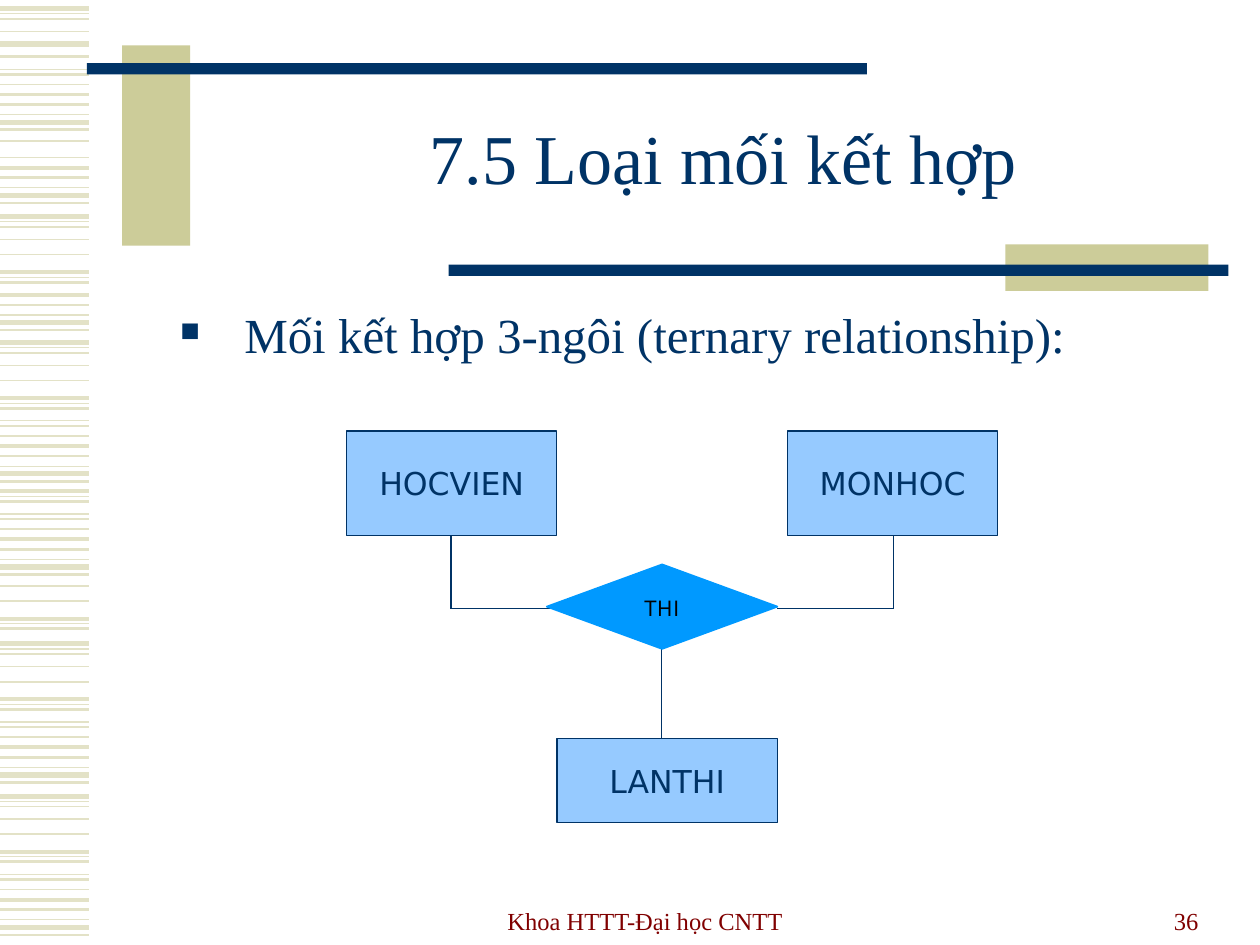
from typing import NamedTuple

from lxml import etree
from pptx import Presentation
from pptx.dml.color import RGBColor
from pptx.enum import shapes, text
from pptx.oxml import ns
from pptx.util import Inches, Pt

NAVY, KHAKI, STRIPE = "003366", "CCCC99", "E3E2C7"
PALE_BLUE, BLUE, MAROON, BLACK = "96CAFF", "0099FF", "800000", "000000"
SERIF, SANS = "Times New Roman", "DejaVu Sans"
CENTER, RIGHT, LEFT = text.PP_ALIGN.CENTER, text.PP_ALIGN.RIGHT, text.PP_ALIGN.LEFT
MIDDLE, BOTTOM, TOP = text.MSO_ANCHOR.MIDDLE, text.MSO_ANCHOR.BOTTOM, text.MSO_ANCHOR.TOP


class Box(NamedTuple):
    left: float
    top: float
    width: float
    height: float


class Style(NamedTuple):
    size: float
    color: str
    font: str = SERIF
    align: text.PP_ALIGN = CENTER
    anchor: text.MSO_ANCHOR = MIDDLE
    wrap: bool = True


class Line(NamedTuple):
    x1: float
    y1: float
    x2: float
    y2: float
    color: str = NAVY
    weight: float = 0.75


class Node(NamedTuple):
    label: str
    box: Box
    style: Style
    fill: str = PALE_BLUE
    line: str = NAVY
    weight: float = 0.75
    kind: shapes.MSO_SHAPE = shapes.MSO_SHAPE.RECTANGLE


class Band(NamedTuple):
    """A run of the stripe rhythm, from index first up to stop."""
    top: float
    first: int = 0
    stop: int = 16


# (offset from the band's top, line weight)
RHYTHM = [
    (0, 3), (0.04, 0.75), (0.08, 1), (0.18, 1), (0.3, 1), (0.44, 2.25),
    (0.48, 0.75), (0.52, 1.5), (0.62, 0.75), (0.66, 1.5), (0.74, 1),
    (0.82, 2.25), (0.9, 1.5), (0.98, 0.75), (1.04, 3), (1.1, 1.5),
]
BANDS = [
    Band(0.07, 0, 4), Band(-0.07, 7), Band(0.51, 10), Band(1.72, 0, 8),
    Band(1.52, 11), Band(2.72), Band(3.46, 5), Band(4.47, 3, 8),
    Band(5.11), Band(6.32),
]
EXTRA_STRIPES = [(0.35, 3), (1.12, 1)]

BARS = [
    (Box(0.97, 0.36, 0.54, 1.59), KHAKI),
    (Box(0.69, 0.5, 6.19, 0.09), NAVY),
    (Box(7.98, 1.94, 1.61, 0.37), KHAKI),
    (Box(3.56, 2.1, 6.19, 0.09), NAVY),
]

ENTITY = Style(18, NAVY, SANS, wrap=False)
ENTITIES = [
    Node("HOCVIEN", Box(2.75, 3.42, 1.67, 0.83), ENTITY),
    Node("MONHOC", Box(6.25, 3.42, 1.67, 0.83), ENTITY),
    Node("LANTHI", Box(4.42, 5.86, 1.75, 0.67), ENTITY),
]
RELATIONSHIP = Node("THI", Box(4.34, 4.48, 1.83, 0.67), Style(14, BLACK, "Karla"),
                    BLUE, BLUE, 1, shapes.MSO_SHAPE.FLOWCHART_DECISION)
LINKS = [
    Line(6.17, 4.83, 7.09, 4.83),
    Line(3.58, 4.83, 4.5, 4.83),
    Line(3.58, 4.25, 3.58, 4.83),
    Line(7.09, 4.25, 7.09, 4.83),
    Line(5.25, 5.15, 5.25, 5.86),
]


def rgb(value: str) -> RGBColor:
    return RGBColor.from_string(value)


def inches(values) -> list:
    return [Inches(v) for v in values]


def write(sp, content: str, style: Style):
    """Put one styled run in the shape and return its paragraph."""
    tf = sp.text_frame
    tf.word_wrap = style.wrap
    tf.auto_size = text.MSO_AUTO_SIZE.NONE
    tf.vertical_anchor = style.anchor
    p = tf.paragraphs[0]
    p.alignment = style.align
    r = p.add_run()
    r.text = content
    r.font.size = Pt(style.size)
    r.font.name = style.font
    r.font.color.rgb = rgb(style.color)
    return p


def add_text(s, content: str, box: Box, style: Style):
    return write(s.shapes.add_textbox(*inches(box)), content, style)


def add_filled(s, kind: shapes.MSO_SHAPE, box: Box, fill: str):
    sp = s.shapes.add_shape(kind, *inches(box))
    sp.shadow.inherit = False
    sp.fill.solid()
    sp.fill.fore_color.rgb = rgb(fill)
    sp.line.fill.background()
    return sp


def add_node(s, node: Node) -> None:
    sp = add_filled(s, node.kind, node.box, node.fill)
    sp.line.color.rgb = rgb(node.line)
    sp.line.width = Pt(node.weight)
    write(sp, node.label, node.style)


def add_line(s, line: Line) -> None:
    ln = s.shapes.add_connector(shapes.MSO_CONNECTOR.STRAIGHT, *inches(line[:4]))
    ln.line.color.rgb = rgb(line.color)
    ln.line.width = Pt(line.weight)
    etree.SubElement(ln._element.spPr, ns.qn("a:effectLst"))


def add_bullet(p, char: str, color: str, percent: int, left: float, hanging: float) -> None:
    pPr = p._p.get_or_add_pPr()
    pPr.set("marL", str(Inches(left)))
    pPr.set("indent", str(-Inches(hanging)))
    clr = etree.SubElement(pPr, ns.qn("a:buClr"))
    etree.SubElement(clr, ns.qn("a:srgbClr"), val=color)
    etree.SubElement(pPr, ns.qn("a:buSzPct"), val=str(percent * 1000))
    etree.SubElement(pPr, ns.qn("a:buChar"), char=char)


def add_stripes(s) -> None:
    stripes = EXTRA_STRIPES + [
        (band.top + offset, weight)
        for band in BANDS
        for offset, weight in RHYTHM[band.first:band.stop]
    ]
    for y, weight in stripes:
        add_line(s, Line(0, y, 0.71, y, STRIPE, weight))


def main() -> None:
    prs = Presentation()
    prs.slide_width, prs.slide_height = Inches(10), Inches(7.5)
    s = prs.slides.add_slide(prs.slide_layouts[5])

    add_stripes(s)
    for box, fill in BARS:
        add_filled(s, shapes.MSO_SHAPE.RECTANGLE, box, fill)

    title = s.shapes.title
    title.left, title.top, title.width, title.height = inches(Box(1.48, 0.67, 8.52, 1.25))
    write(title, "7.5 Loại mối kết hợp", Style(40, NAVY)).line_spacing = 0.85

    p = add_text(s, "Mối kết hợp 3-ngôi (ternary relationship):",
                 Box(0.89, 2.42, 9.11, 4.24), Style(28, NAVY, align=LEFT, anchor=TOP))
    p.line_spacing = 0.9
    p.space_before = Pt(7)
    add_bullet(p, "■", NAVY, 55, 0.95, 0.51)

    for node in ENTITIES:
        add_node(s, node)
    for link in LINKS:
        add_line(s, link)
    add_node(s, RELATIONSHIP)

    footer = Style(14, MAROON, anchor=BOTTOM)
    add_text(s, "Khoa HTTT-Đại học CNTT", Box(3.43, 6.97, 3.38, 0.5), footer)
    add_text(s, "36", Box(7.21, 6.97, 2.4, 0.5), footer._replace(align=RIGHT))

    prs.save("out.pptx")


if __name__ == "__main__":
    main()
